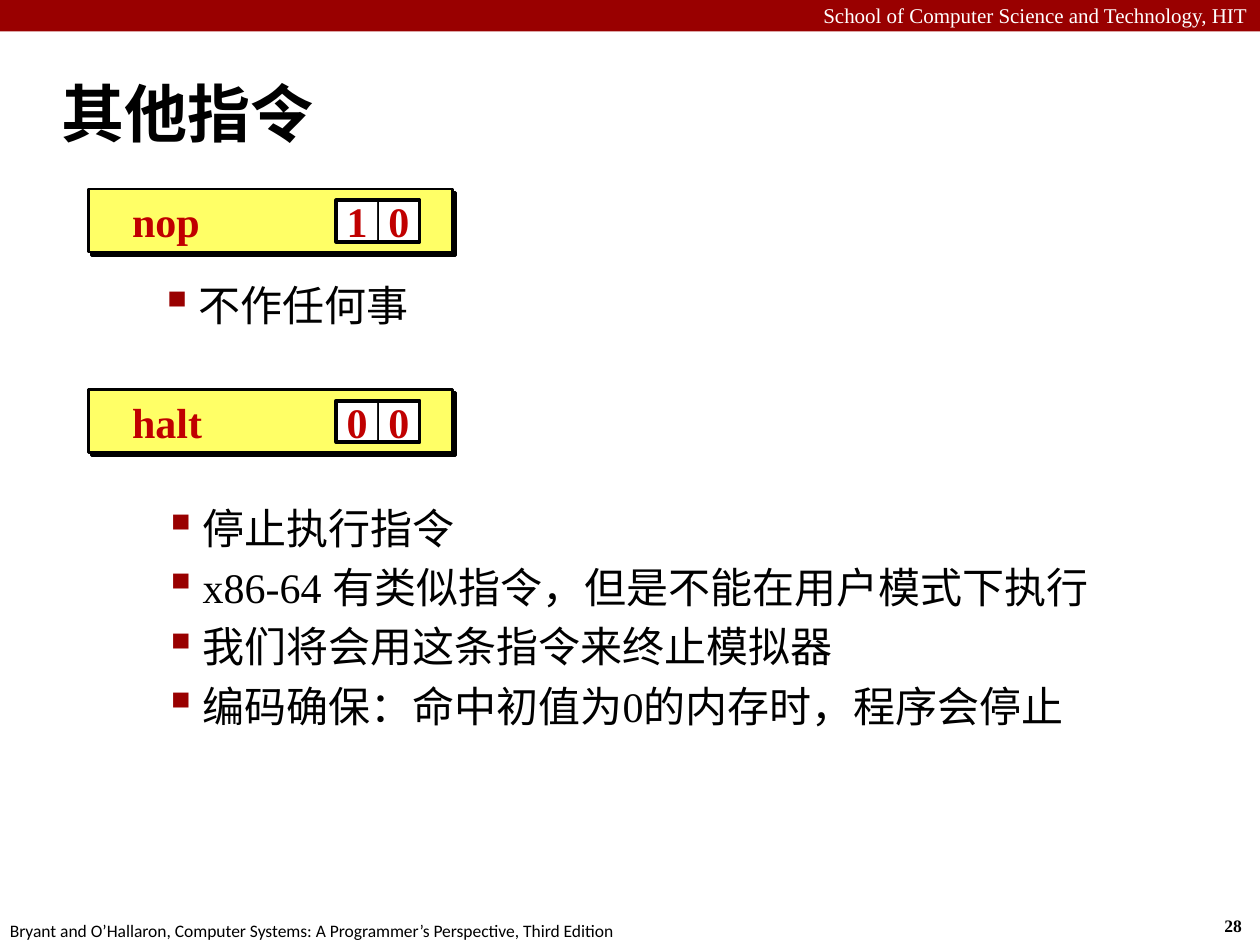
from lxml.etree import SubElement
from pptx import Presentation
from pptx.dml.color import RGBColor
from pptx.enum.shapes import MSO_SHAPE
from pptx.enum.text import MSO_ANCHOR, PP_ALIGN
from pptx.oxml.ns import qn
from pptx.util import Inches, Pt

RED = RGBColor(0x99, 0, 0)
CODE = RGBColor(0xC0, 0, 0)
YELLOW = RGBColor(0xFF, 0xFF, 0x66)
WHITE = RGBColor(0xFF, 0xFF, 0xFF)
BLACK = RGBColor(0, 0, 0)
SERIF = "Times New Roman"


def write(shape, text, size=24, face=SERIF, color=BLACK, bold=False,
          align=PP_ALIGN.LEFT, anchor=MSO_ANCHOR.TOP, wrap=True,
          pad=0.1, bullet=False):
    frame = shape.text_frame
    frame.word_wrap = wrap
    frame.vertical_anchor = anchor
    frame.margin_left = frame.margin_right = Inches(pad)
    for i, line in enumerate(text.split("\n")):
        para = frame.add_paragraph() if i else frame.paragraphs[0]
        para.alignment = align
        if bullet:
            para.level = 1
            props = para._p.get_or_add_pPr()
            props.set("marL", str(Inches(0.81)))
            props.set("indent", str(Inches(-0.31)))
            tint = SubElement(props, qn("a:buClr"))
            SubElement(tint, qn("a:srgbClr"), val=str(RED))
            SubElement(props, qn("a:buSzPct"), val="110000")
            SubElement(props, qn("a:buChar"), char="▪")
            para.space_before = Pt(5 if i else 0)
        run = para.add_run()
        run.text = line
        run.font.size = Pt(size)
        run.font.name = face
        run.font.bold = bold
        run.font.color.rgb = color


def rect(shapes, x, y, w, h, fill=None, line=None):
    shape = shapes.add_shape(MSO_SHAPE.RECTANGLE, Inches(x), Inches(y),
                             Inches(w), Inches(h))
    shape.shadow.inherit = False
    if fill is None:
        shape.fill.background()
    else:
        shape.fill.solid()
        shape.fill.fore_color.rgb = fill
    if line is None:
        shape.line.fill.background()
    else:
        shape.line.color.rgb = BLACK
        shape.line.width = Pt(line)
    return shape


deck = Presentation()
deck.slide_width, deck.slide_height = Inches(10), Inches(7.5)
slide = deck.slides.add_slide(deck.slide_layouts[5])
shapes = slide.shapes

# Header band, page number and footer
rect(shapes, 0, 0, 10, 0.25, RED)
for x, y, w, h, text, style in [
    (0, -0.03, 10, 0.3, "School of Computer Science and Technology, HIT",
     dict(size=12, color=WHITE, align=PP_ALIGN.RIGHT)),
    (9.62, 7.21, 0.37, 0.27, "28", dict(size=10, bold=True, wrap=False)),
    (-0.02, 7.25, 5.08, 0.27,
     "Bryant and O’Hallaron, Computer Systems: A Programmer’s Perspective, "
     "Third Edition", dict(size=10, face="Calibri", wrap=False)),
]:
    label = shapes.add_textbox(Inches(x), Inches(y), Inches(w), Inches(h))
    write(label, text, **style)

# Title
title = shapes.title
title.left, title.top = Inches(0.39), Inches(0.48)
title.width, title.height = Inches(9.61), Inches(0.83)
write(title, "其他指令", size=36, face="Calibri", bold=True,
      anchor=MSO_ANCHOR.MIDDLE)

# Instruction cards: name and two code digits
code = dict(color=CODE, bold=True, anchor=MSO_ANCHOR.MIDDLE)
cell = 0.33
for top, name, digits in [(1.5, "nop", "10"), (3.09, "halt", "00")]:
    group = shapes.add_group_shape().shapes
    card = rect(group, 0.7, top, 2.89, 0.5, YELLOW, 1.5)
    effects = card._element.spPr.find(qn("a:effectLst"))
    shade = SubElement(effects, qn("a:outerShdw"), dist=str(Pt(2.8)),
                       dir="2700000", algn="ctr", rotWithShape="0")
    SubElement(shade, qn("a:srgbClr"), val=str(BLACK))
    row = top + 0.09
    label = group.add_textbox(Inches(0.95), Inches(row), Inches(1.7),
                              Inches(cell))
    write(label, name, **code)
    for i, digit in enumerate(digits):
        box = rect(group, 2.67 + i * cell, row, cell, cell, WHITE, 0.5)
        write(box, digit, align=PP_ALIGN.CENTER, pad=0, **code)
    rect(group, 2.67, row, 2 * cell, cell, line=2.25)

# Bulleted notes under each card
for x, y, h, text in [
    (0.67, 2.17, 0.56, "不作任何事"),
    (0.7, 3.94, 2.17,
     "停止执行指令\n"
     "x86-64 有类似指令，但是不能在用户模式下执行\n"
     "我们将会用这条指令来终止模拟器\n"
     "编码确保：命中初值为0的内存时，程序会停止"),
]:
    notes = shapes.add_textbox(Inches(x), Inches(y), Inches(8.43), Inches(h))
    write(notes, text, bullet=True)

deck.save("out.pptx")
